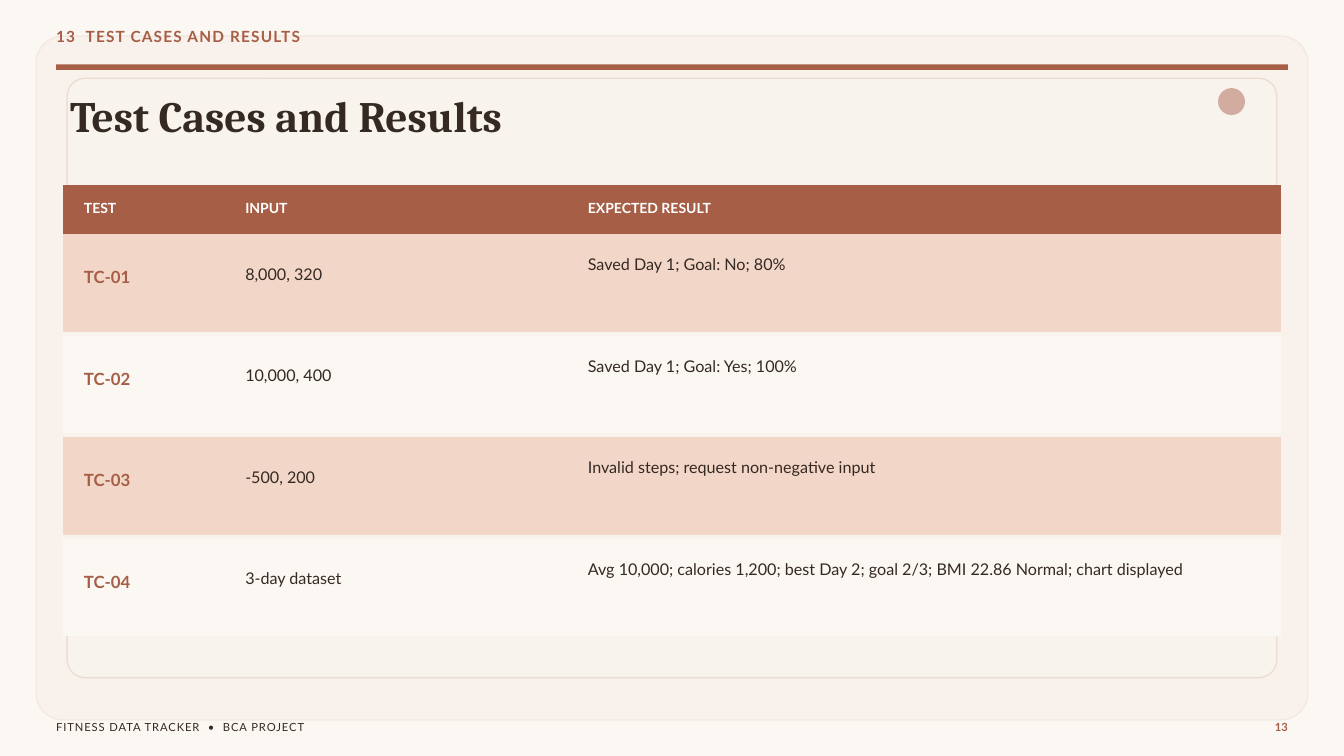
from lxml.etree import SubElement
from pptx import Presentation
from pptx.dml.color import RGBColor
from pptx.enum.shapes import MSO_SHAPE
from pptx.enum.text import MSO_ANCHOR, MSO_AUTO_SIZE, PP_ALIGN
from pptx.oxml import parse_xml
from pptx.oxml.ns import nsdecls, qn
from pptx.util import Cm, Pt

COLORS = {
    "paper": "FBF7F2",
    "blush": "F2D6C8",
    "sand": "D5B8A8",
    "rust": "A65E46",
    "ink": "352923",
    "white": "FFFFFF",
    "gap": "F8F3EC",
}


def style_text(text_frame, text, size, line, color, bold=False, font="Lato", tracking=0):
    text_frame.text = text
    paragraph = text_frame.paragraphs[0]
    paragraph.line_spacing = Pt(line)
    run = paragraph.runs[0]
    run.font.name = font
    run.font.size = Pt(size)
    run.font.bold = bold
    run.font.color.rgb = RGBColor.from_string(COLORS[color])
    if tracking:
        run._r.get_or_add_rPr().set("spc", str(tracking))
    return paragraph


def clear_margins(text_frame):
    text_frame.margin_left = text_frame.margin_right = 0
    text_frame.margin_top = text_frame.margin_bottom = 0
    text_frame.vertical_anchor = MSO_ANCHOR.TOP
    text_frame.auto_size = MSO_AUTO_SIZE.NONE
    text_frame.word_wrap = True


presentation = Presentation()
presentation.slide_width = Cm(50.8)
presentation.slide_height = Cm(28.58)
slide = presentation.slides.add_slide(presentation.slide_layouts[5])
slide.background.fill.solid()
slide.background.fill.fore_color.rgb = RGBColor.from_string(COLORS["paper"])

panels = [
    (MSO_SHAPE.ROUNDED_RECTANGLE, 1.36, 1.36, 48.08, 25.86, 0.04, "blush", "sand", 16),
    (MSO_SHAPE.OVAL, 46.04, 3.33, 1.02, 1.02, None, "rust", None, 72),
    (MSO_SHAPE.ROUNDED_RECTANGLE, 2.54, 2.96, 45.72, 22.66, 0.03, "paper", "sand", 34),
    (MSO_SHAPE.RECTANGLE, 2.12, 2.43, 46.56, 0.21, None, "rust", None, 100),
]
for kind, left, top, width, height, radius, fill, line, opacity in panels:
    shape = slide.shapes.add_shape(kind, Cm(left), Cm(top), Cm(width), Cm(height))
    shape.shadow.inherit = False
    if radius:
        shape.adjustments[0] = radius
    shape.fill.solid()
    shape.fill.fore_color.rgb = RGBColor.from_string(COLORS[fill])
    if line:
        shape.line.color.rgb = RGBColor.from_string(COLORS[line])
        shape.line.width = Pt(1.5)
    else:
        shape.line.fill.background()
    if opacity < 100:
        for color in shape._element.spPr.iter(qn("a:srgbClr")):
            SubElement(color, qn("a:alpha")).set("val", str(opacity * 1000))

labels = [
    (2.12, 0.96, 39.69, 0.75, "13  TEST CASES AND RESULTS", 16.5, 21.4, "rust", True, 130, PP_ALIGN.LEFT),
    (2.12, 27.18, 21.17, 0.52, "FITNESS DATA TRACKER  •  BCA PROJECT", 12, 15.6, "ink", False, 100, PP_ALIGN.LEFT),
    (46.04, 27.18, 2.64, 0.52, "13", 12, 15.6, "rust", True, 0, PP_ALIGN.RIGHT),
]
for left, top, width, height, text, size, line, color, bold, tracking, alignment in labels:
    label = slide.shapes.add_textbox(Cm(left), Cm(top), Cm(width), Cm(height))
    clear_margins(label.text_frame)
    paragraph = style_text(label.text_frame, text, size, line, color, bold, tracking=tracking)
    paragraph.alignment = alignment

title = slide.shapes.title
title.left, title.top, title.width, title.height = Cm(2.65), Cm(3.56), Cm(39.69), Cm(1.83)
clear_margins(title.text_frame)
paragraph = style_text(title.text_frame, "Test Cases and Results", 46.5, 50.2, "ink", True, "Cambria")
paragraph.alignment = PP_ALIGN.LEFT
slide.shapes._spTree.append(title._element)

rows = [
    ("TEST", "INPUT", "EXPECTED RESULT"),
    ("TC-01", "8,000, 320", "Saved Day 1; Goal: No; 80%"),
    ("TC-02", "10,000, 400", "Saved Day 1; Goal: Yes; 100%"),
    ("TC-03", "-500, 200", "Invalid steps; request non-negative input"),
    ("TC-04", "3-day dataset", "Avg 10,000; calories 1,200; best Day 2; goal 2/3; BMI 22.86 Normal; chart displayed"),
]
column_widths = [6.1, 12.95, 26.99]
row_heights = [1.86, 3.75, 3.84, 3.84, 3.75]
body_tops = [1.17, 1.07, 0.71]
half_gap = 0.09
last = len(rows) - 1

frame = slide.shapes.add_table(
    len(rows), len(column_widths), Cm(2.38), Cm(7.0), Cm(sum(column_widths)), Cm(sum(row_heights))
)
table = frame.table
table.horz_banding = False
for column, width in zip(table.columns, column_widths):
    column.width = Cm(width)
for row_index, (texts, height) in enumerate(zip(rows, row_heights)):
    table.rows[row_index].height = Cm(height)
    for column_index, text in enumerate(texts):
        cell = table.cell(row_index, column_index)
        cell.margin_left = Cm(0.79)
        cell.margin_right = cell.margin_bottom = 0
        cell.vertical_anchor = MSO_ANCHOR.TOP
        if row_index == 0:
            fill, top, style = "rust", 0.46, (15, 21, "white", True)
        else:
            fill = "blush" if row_index % 2 else "paper"
            top = body_tops[column_index] + (half_gap if row_index > 1 else 0)
            style = (17.25, 22.4, "ink", False) if column_index else (18, 23.4, "rust", True)
        cell.margin_top = Cm(top)
        style_text(cell.text_frame, text, *style)
        cell.fill.solid()
        cell.fill.fore_color.rgb = RGBColor.from_string(COLORS[fill])

        gap_sides = {"lnT": row_index > 1, "lnB": 0 < row_index < last}
        for position, side in enumerate(("lnL", "lnR", "lnT", "lnB")):
            paint = "<a:noFill/>"
            if gap_sides.get(side):
                paint = f'<a:solidFill><a:srgbClr val="{COLORS["gap"]}"/></a:solidFill>'
            border = parse_xml(f'<a:{side} {nsdecls("a")} w="{Pt(5)}">{paint}</a:{side}>')
            cell._tc.get_or_add_tcPr().insert(position, border)

presentation.save("out.pptx")
